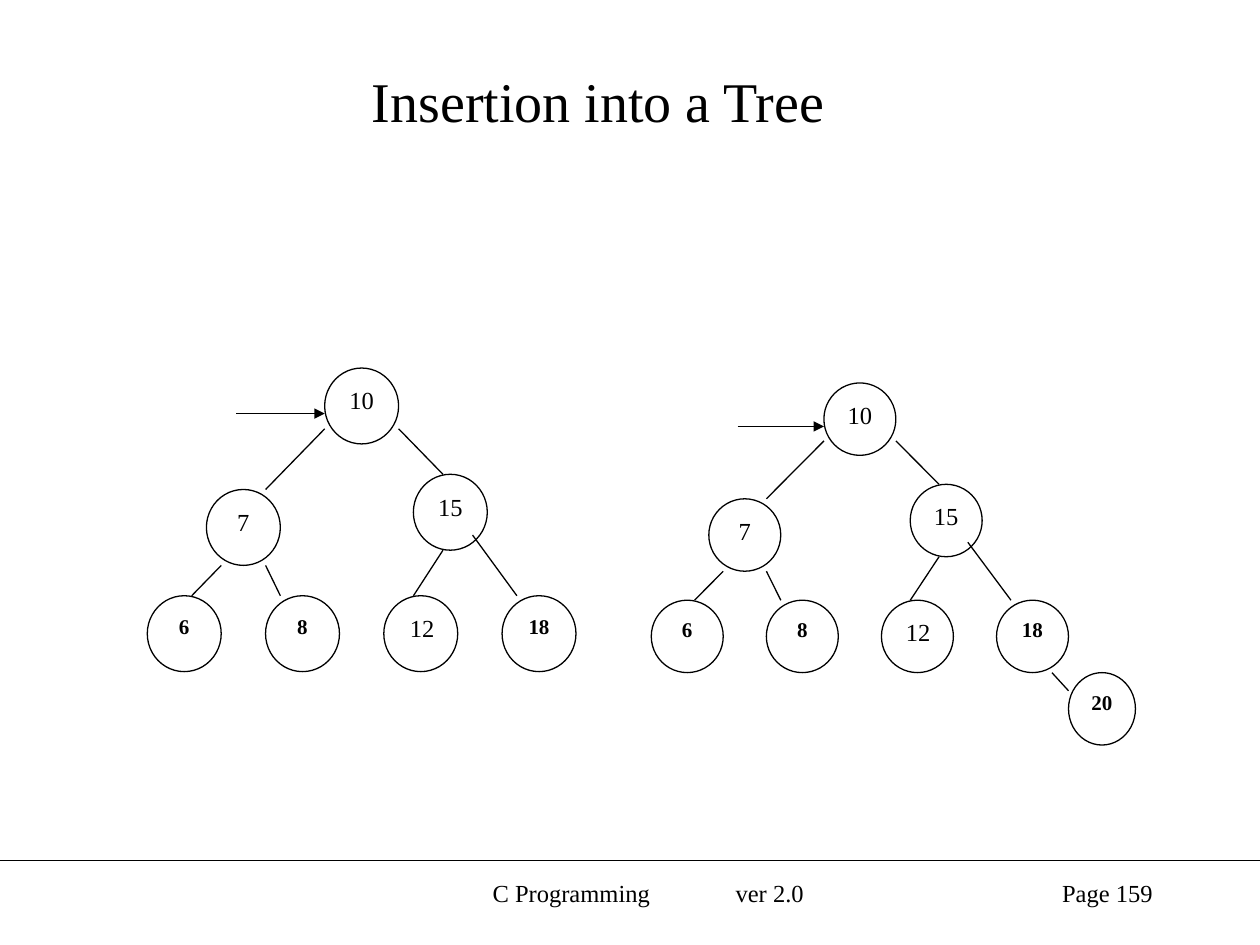
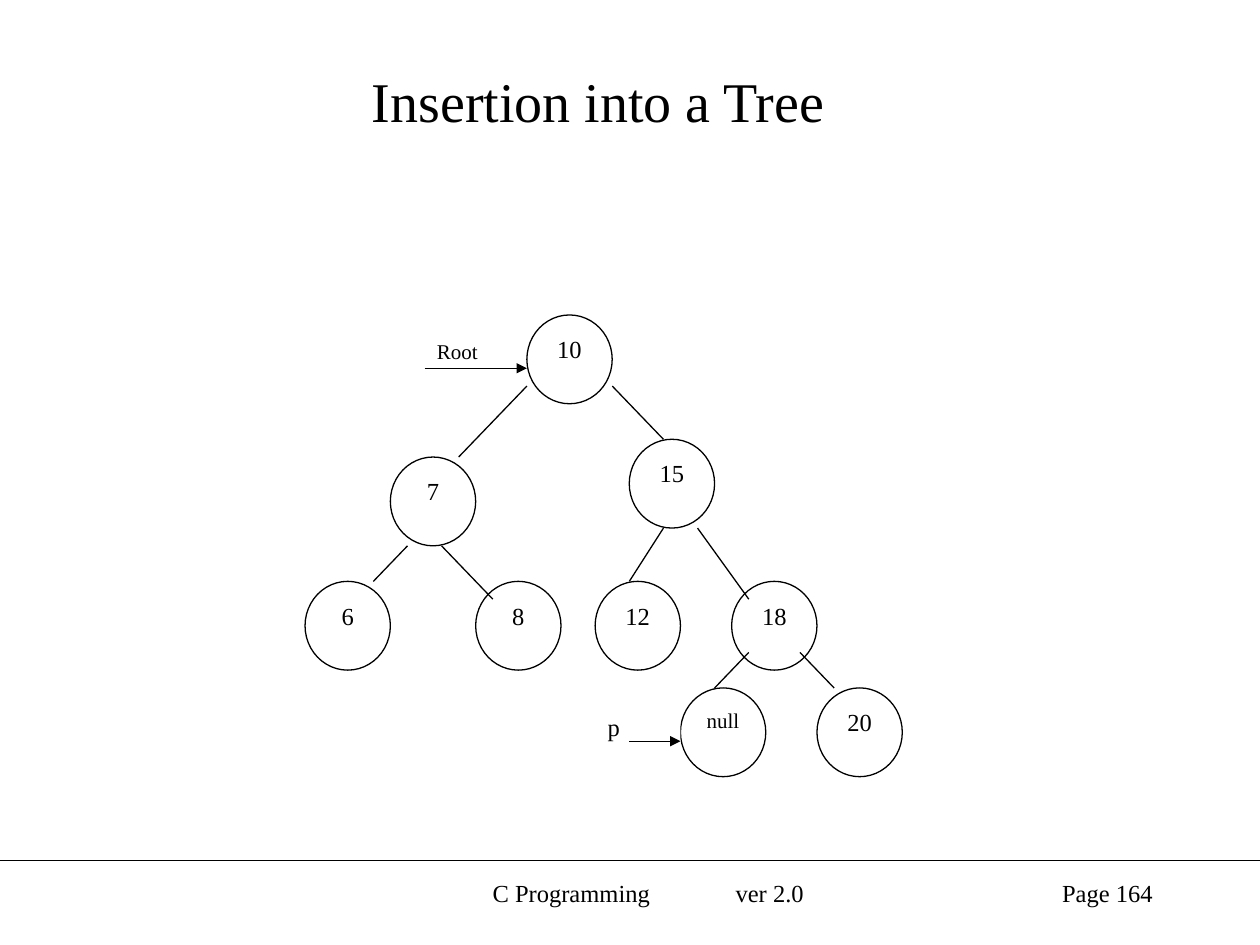
from dataclasses import dataclass
from typing import Any

from lxml.etree import SubElement
from pptx import Presentation
from pptx.dml.color import RGBColor
from pptx.enum.shapes import MSO_CONNECTOR, MSO_SHAPE
from pptx.enum.text import MSO_ANCHOR, PP_ALIGN
from pptx.oxml.ns import qn
from pptx.util import Cm, Pt

COLORS = {"ink": "000000", "paper": "FFFFFF"}
FONT_NAME = "Times New Roman"
TITLE = "Insertion into a Tree"
LINE_WIDTH = Pt(0.75)
NODE_UNITS = 5

REGULAR = {"size": Pt(14), "bold": False}
SMALL = {"size": Pt(12), "bold": False}
SMALL_BOLD = {"size": Pt(12), "bold": True}
HEADING = {"size": Pt(32), "bold": False}


@dataclass(frozen=True)
class Node:
    text: str
    column: float
    row: float
    style: dict[str, Any]
    alignment: PP_ALIGN = PP_ALIGN.CENTER
    width: float = NODE_UNITS


@dataclass(frozen=True)
class Label:
    text: str
    column: float
    row: float
    width: float
    height: float
    style: dict[str, Any]


@dataclass(frozen=True)
class Edge:
    start: tuple[float, float]
    end: tuple[float, float]
    arrow: bool = False


@dataclass(frozen=True)
class Tree:
    left: float
    top: float
    node_width: float
    node_height: float
    nodes: list[Node]
    edges: list[Edge]
    labels: tuple[Label, ...] = ()

    def x(self, column: float) -> Cm:
        return Cm(self.left + column * self.node_width / NODE_UNITS)

    def y(self, row: float) -> Cm:
        return Cm(self.top + row * self.node_height / NODE_UNITS)

    def box(self, column: float, row: float, width: float, height: float) -> tuple[Cm, ...]:
        left, top = self.x(column), self.y(row)
        return left, top, self.x(column + width) - left, self.y(row + height) - top


BASE_NODES = [
    Node("10", 12, 0, REGULAR),
    Node("15", 18, 7, REGULAR),
    Node("12", 16, 15, REGULAR, PP_ALIGN.RIGHT),
    Node("7", 4, 8, REGULAR),
    Node("8", 8, 15, SMALL_BOLD),
    Node("18", 24, 15, SMALL_BOLD),
    Node("6", 0, 15, SMALL_BOLD),
]
BASE_EDGES = [
    Edge((6, 3), (12, 3), arrow=True),
    Edge((17, 4), (20, 7)),
    Edge((12, 4), (8, 8)),
    Edge((20, 12), (18, 15)),
    Edge((8, 13), (9, 15)),
    Edge((22, 11), (25, 15)),
    Edge((5, 13), (3, 15)),
]
BEFORE_INSERTION = Tree(2.97, 7.42, 1.49, 1.53, BASE_NODES, BASE_EDGES)
AFTER_INSERTION = Tree(
    13.13, 7.72, 1.45, 1.46,
    BASE_NODES + [Node("20", 29, 20, SMALL_BOLD, width=4.65)],
    BASE_EDGES + [Edge((27.85, 20), (29, 21.25))],
)
NULL_CHILD = Tree(
    6.15, 6.35, 1.72, 1.79,
    [
        Node("10", 13, 0, REGULAR),
        Node("15", 19, 7, REGULAR),
        Node("12", 17, 15, REGULAR),
        Node("7", 5, 8, REGULAR),
        Node("8", 10, 15, REGULAR),
        Node("18", 25, 15, REGULAR),
        Node("6", 0, 15, REGULAR),
        Node("20", 30, 21, REGULAR),
        Node("null", 22, 21, SMALL),
    ],
    [
        Edge((7, 3), (13, 3), arrow=True),
        Edge((18, 4), (21, 7)),
        Edge((13, 4), (9, 8)),
        Edge((21, 12), (19, 15)),
        Edge((6, 13), (4, 15)),
        Edge((8, 13), (11, 16)),
        Edge((23, 12), (26, 16)),
        Edge((29, 19), (31, 21)),
        Edge((26, 19), (24, 21)),
        Edge((19, 24), (22, 24), arrow=True),
    ],
    (Label("Root", 7, 1, 5, 2, SMALL), Label("p", 17, 22, 5, 3, REGULAR)),
)
PAGES = {
    "Page 159": [BEFORE_INSERTION, AFTER_INSERTION],
    "Page 164": [NULL_CHILD],
}


def color(name: str) -> RGBColor:
    return RGBColor.from_string(COLORS[name])


def apply_format(target: Any, values: dict[str, Any]) -> None:
    for name, value in values.items():
        setattr(target, name, value)


def write_text(shape: Any, text: str, style: dict[str, Any], alignment: PP_ALIGN,
               anchor: MSO_ANCHOR = MSO_ANCHOR.TOP) -> None:
    frame = shape.text_frame
    apply_format(frame, {"word_wrap": True, "vertical_anchor": anchor})
    paragraph = frame.paragraphs[0]
    paragraph.alignment = alignment
    run = paragraph.add_run()
    run.text = text
    apply_format(run.font, {"name": FONT_NAME, **style})
    run.font.color.rgb = color("ink")


def add_line(slide: Any, start: tuple[Cm, Cm], end: tuple[Cm, Cm], arrow: bool = False) -> None:
    connector = slide.shapes.add_connector(MSO_CONNECTOR.STRAIGHT, *start, *end)
    connector.line.color.rgb = color("ink")
    connector.line.width = LINE_WIDTH
    properties = connector.element.spPr
    if arrow:
        SubElement(properties.find(qn("a:ln")), qn("a:tailEnd"), type="triangle")
    SubElement(properties, qn("a:effectLst"))


def add_filled_shape(slide: Any, kind: MSO_SHAPE, box: tuple[Cm, ...], outlined: bool) -> Any:
    shape = slide.shapes.add_shape(kind, *box)
    shape.shadow.inherit = False
    shape.fill.solid()
    shape.fill.fore_color.rgb = color("paper")
    if outlined:
        shape.line.color.rgb = color("ink")
        shape.line.width = LINE_WIDTH
    else:
        shape.line.fill.background()
    return shape


def draw_tree(slide: Any, tree: Tree) -> None:
    for node in tree.nodes:
        box = tree.box(node.column, node.row, node.width, NODE_UNITS)
        circle = add_filled_shape(slide, MSO_SHAPE.OVAL, box, outlined=True)
        write_text(circle, node.text, node.style, node.alignment)
    for label in tree.labels:
        box = tree.box(label.column, label.row, label.width, label.height)
        plate = add_filled_shape(slide, MSO_SHAPE.RECTANGLE, box, outlined=False)
        write_text(plate, label.text, label.style, PP_ALIGN.LEFT)
    for edge in tree.edges:
        start, end = ((tree.x(column), tree.y(row)) for column, row in (edge.start, edge.end))
        add_line(slide, start, end, edge.arrow)


def add_frame(slide: Any, page: str) -> None:
    add_line(slide, (Cm(0), Cm(17.35)), (Cm(25.4), Cm(17.35)))

    course = slide.shapes.add_textbox(Cm(8.69), Cm(17.58), Cm(8.69), Cm(1.27))
    course.text_frame.margin_left = Cm(1.24)
    properties = course.text_frame.paragraphs[0]._p.get_or_add_pPr()
    tabs = SubElement(properties, qn("a:tabLst"))
    SubElement(tabs, qn("a:tab"), pos=str(Cm(4.9)), algn="l")
    write_text(course, "C Programming\tver 2.0", REGULAR, PP_ALIGN.LEFT)

    number = slide.shapes.add_textbox(Cm(18.21), Cm(17.58), Cm(5.28), Cm(1.27))
    write_text(number, page, REGULAR, PP_ALIGN.RIGHT)

    title = slide.shapes.add_textbox(Cm(1.27), Cm(0.64), Cm(21.59), Cm(2.74))
    write_text(title, TITLE, HEADING, PP_ALIGN.CENTER, MSO_ANCHOR.MIDDLE)


def main() -> None:
    presentation = Presentation()
    apply_format(presentation, {"slide_width": Cm(25.4), "slide_height": Cm(19.05)})
    blank_layout = presentation.slide_layouts[6]
    for page, trees in PAGES.items():
        slide = presentation.slides.add_slide(blank_layout)
        add_frame(slide, page)
        for tree in trees:
            draw_tree(slide, tree)
    presentation.save("out.pptx")


if __name__ == "__main__":
    main()
